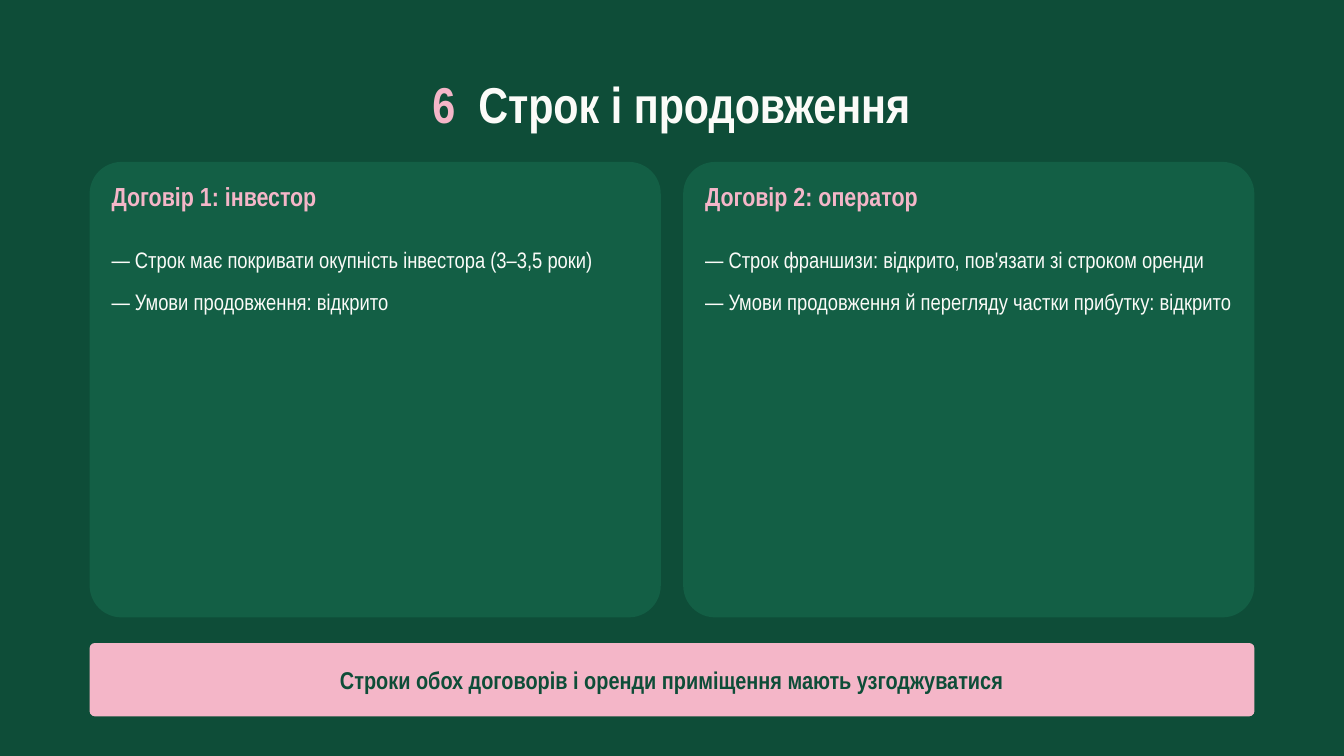
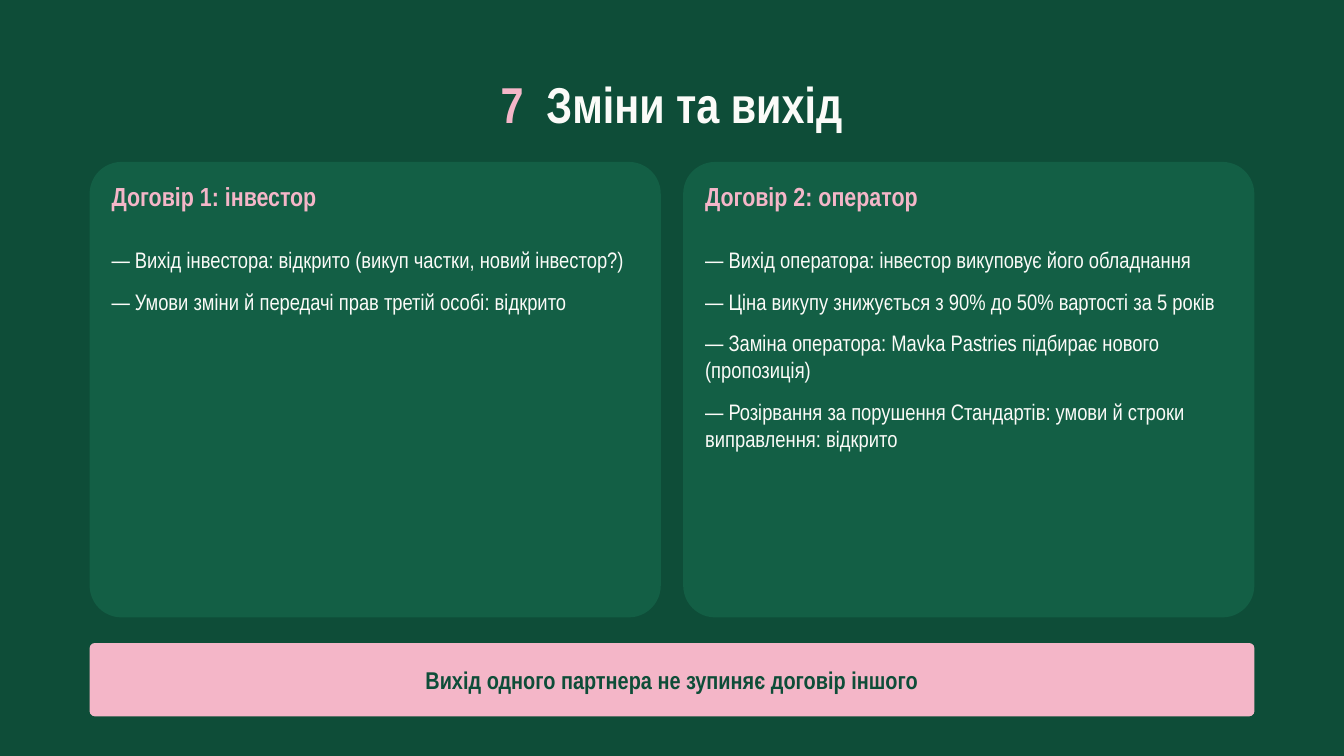
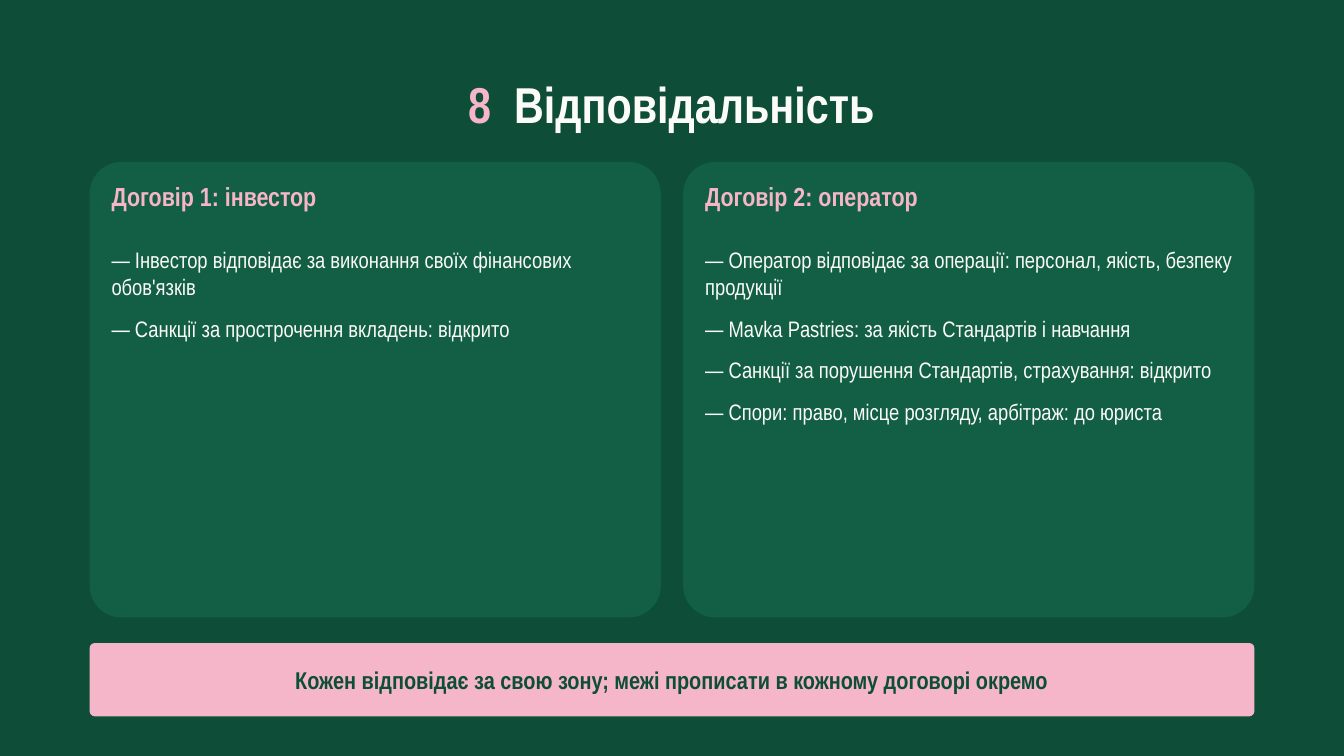
"""Build three slides that compare the terms of two contracts."""
from dataclasses import dataclass

from pptx import Presentation
from pptx import util as u
from pptx.dml.color import RGBColor
from pptx.enum import shapes, text

FONT = "Arial Narrow"
FOREST = RGBColor(0x0E, 0x4D, 0x38)
GREEN = RGBColor(0x13, 0x5F, 0x45)
PINK = RGBColor(0xF4, 0xB6, 0xC8)
CREAM = RGBColor(0xFB, 0xFB, 0xF8)

PAGE_WIDTH, PAGE_HEIGHT = 1440, 810
MARGIN = 96
CARD_GAP = 24
CARD_WIDTH = (PAGE_WIDTH - 2 * MARGIN - CARD_GAP) / 2
CARD_PADDING = 23.5
CARD_HEADINGS = ("Договір 1: інвестор", "Договір 2: оператор")
TITLE_GAP = 12.3


@dataclass(frozen=True)
class Area:
    """A rectangle on the page, in points."""

    left: float
    top: float
    width: float
    height: float

    def lengths(self) -> list[u.Length]:
        """Return the four values as lengths."""
        return [u.Pt(value) for value in (self.left, self.top, self.width, self.height)]


@dataclass(frozen=True)
class Topic:
    """The wording of one slide."""

    number: str
    title: str
    investor: tuple[str, ...]
    operator: tuple[str, ...]
    conclusion: str


TITLE_AREA = Area(77, 78.5, 1285, 70.5)
BAND_AREA = Area(MARGIN, 689, PAGE_WIDTH - 2 * MARGIN, 78.5)
CONCLUSION_AREA = Area(118, BAND_AREA.top, 1204, BAND_AREA.height)

TOPICS = (
    Topic(
        "6",
        "Строк і продовження",
        (
            "Строк має покривати окупність інвестора (3–3,5 роки)",
            "Умови продовження: відкрито",
        ),
        (
            "Строк франшизи: відкрито, пов'язати зі строком оренди",
            "Умови продовження й перегляду частки прибутку: відкрито",
        ),
        "Строки обох договорів і оренди приміщення мають узгоджуватися",
    ),
    Topic(
        "7",
        "Зміни та вихід",
        (
            "Вихід інвестора: відкрито (викуп частки, новий інвестор?)",
            "Умови зміни й передачі прав третій особі: відкрито",
        ),
        (
            "Вихід оператора: інвестор викуповує його обладнання",
            "Ціна викупу знижується з 90% до 50% вартості за 5 років",
            "Заміна оператора: Mavka Pastries підбирає нового (пропозиція)",
            "Розірвання за порушення Стандартів: умови й строки виправлення: відкрито",
        ),
        "Вихід одного партнера не зупиняє договір іншого",
    ),
    Topic(
        "8",
        "Відповідальність",
        (
            "Інвестор відповідає за виконання своїх фінансових обов'язків",
            "Санкції за прострочення вкладень: відкрито",
        ),
        (
            "Оператор відповідає за операції: персонал, якість, безпеку продукції",
            "Mavka Pastries: за якість Стандартів і навчання",
            "Санкції за порушення Стандартів, страхування: відкрито",
            "Спори: право, місце розгляду, арбітраж: до юриста",
        ),
        "Кожен відповідає за свою зону; межі прописати в кожному договорі окремо",
    ),
)


def add_span(para, words: str, *, size: float, color: RGBColor, bold: bool = False,
             tracking: float = 0) -> None:
    """Append formatted words to a paragraph."""
    span = para.add_run()
    span.text = words
    span.font.name = FONT
    span.font.size = u.Pt(size)
    span.font.bold = bold
    span.font.color.rgb = color
    if tracking:
        span._r.get_or_add_rPr().set("spc", str(round(tracking * 100)))


def add_frame(page, area: Area, *, anchor=text.MSO_ANCHOR.TOP):
    """Add an empty wrapping text box without insets and return its frame."""
    frame = page.shapes.add_textbox(*area.lengths()).text_frame
    frame.word_wrap = True
    frame.vertical_anchor = anchor
    frame.margin_left = frame.margin_top = frame.margin_right = frame.margin_bottom = 0
    return frame


def add_text(page, area: Area, lines: tuple[str, ...], *, size: float, color: RGBColor,
             bold: bool = False, align=text.PP_ALIGN.LEFT, anchor=text.MSO_ANCHOR.TOP,
             space_after: float = 0) -> None:
    """Add a text box with one paragraph for each line."""
    frame = add_frame(page, area, anchor=anchor)
    for index, line in enumerate(lines):
        para = frame.add_paragraph() if index else frame.paragraphs[0]
        para.alignment = align
        para.space_after = u.Pt(space_after)
        add_span(para, line, size=size, color=color, bold=bold)


def add_panel(page, area: Area, color: RGBColor) -> None:
    """Add a plain rounded rectangle."""
    panel = page.shapes.add_shape(shapes.MSO_SHAPE.ROUNDED_RECTANGLE, *area.lengths())
    panel.adjustments[0] = 0.07
    panel.shadow.inherit = False
    panel.fill.solid()
    panel.fill.fore_color.rgb = color
    panel.line.fill.background()


def add_title(page, number: str, title: str) -> None:
    """Add the centred title with its pink number."""
    para = add_frame(page, TITLE_AREA).paragraphs[0]
    para.alignment = text.PP_ALIGN.CENTER
    add_span(para, number, size=54, color=PINK, bold=True, tracking=TITLE_GAP)
    add_span(para, f" {title}", size=54, color=CREAM, bold=True)


def add_card(page, column: int, heading: str, terms: tuple[str, ...]) -> None:
    """Add the card of one contract in the given column."""
    left = MARGIN + column * (CARD_WIDTH + CARD_GAP)
    inner_left = left + CARD_PADDING
    inner_width = CARD_WIDTH - 2 * CARD_PADDING
    add_panel(page, Area(left, 173.5, CARD_WIDTH, 488), GREEN)
    add_text(page, Area(inner_left, 193, inner_width, 55.5), (heading,),
             size=28, color=PINK, bold=True)
    add_text(page, Area(inner_left, 263.5, inner_width, 386),
             tuple(f"— {term}" for term in terms), size=24, color=CREAM, space_after=16)


def add_topic(deck, topic: Topic) -> None:
    """Add the slide of one topic."""
    page = deck.slides.add_slide(deck.slide_layouts[6])
    page.background.fill.solid()
    page.background.fill.fore_color.rgb = FOREST
    add_title(page, topic.number, topic.title)
    for column, terms in enumerate((topic.investor, topic.operator)):
        add_card(page, column, CARD_HEADINGS[column], terms)
    add_panel(page, BAND_AREA, PINK)
    add_text(page, CONCLUSION_AREA, (topic.conclusion,), size=26, color=FOREST, bold=True,
             align=text.PP_ALIGN.CENTER, anchor=text.MSO_ANCHOR.MIDDLE)


def main() -> None:
    """Build and save the deck."""
    deck = Presentation()
    deck.slide_width = u.Pt(PAGE_WIDTH)
    deck.slide_height = u.Pt(PAGE_HEIGHT)
    for topic in TOPICS:
        add_topic(deck, topic)
    deck.save("out.pptx")


if __name__ == "__main__":
    main()
